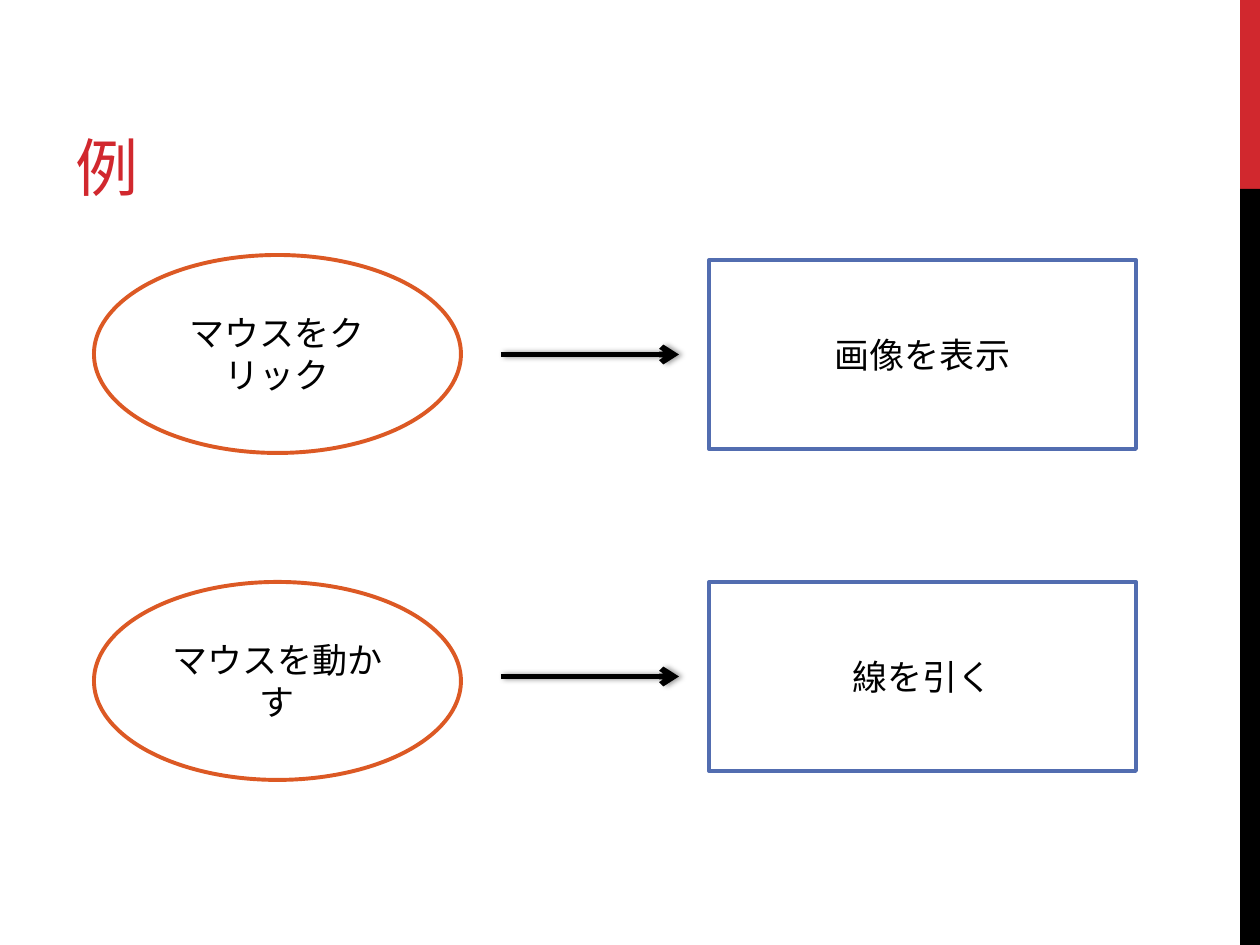
from lxml.etree import SubElement
from pptx import Presentation
from pptx.dml.color import RGBColor
from pptx.enum.shapes import MSO_CONNECTOR, MSO_SHAPE
from pptx.enum.text import MSO_ANCHOR, PP_ALIGN
from pptx.oxml.ns import qn
from pptx.util import Pt

EMU_PER_PX = 914400 / 126
RED, BLACK, WHITE = "D1282E", "000000", "FFFFFF"
ORANGE, BLUE = "DC5924", "526DB0"

# event, its ellipse's top, action, its rectangle's top
ROWS = [
    ("マウスをクリック", 255, "画像を表示", 260),
    ("マウスを動かす", 582, "線を引く", 582),
]
ACTION_HEIGHT = 189


def px(*lengths):
    return [round(length * EMU_PER_PX) for length in lengths]


def color(value):
    return RGBColor.from_string(value)


def write(shape, text, size=20, font="Arial", ink=BLACK,
          align=PP_ALIGN.CENTER, anchor=MSO_ANCHOR.MIDDLE):
    """Put one formatted line of text in the shape and return its run."""
    frame = shape.text_frame
    frame.word_wrap = True
    frame.vertical_anchor = anchor
    para = frame.paragraphs[0]
    para.alignment = align
    span = para.add_run()
    span.text = text
    span.font.size = Pt(size)
    span.font.name = font
    span.font.color.rgb = color(ink)
    return span


def add_block(page, kind, bounds, fill, line=None):
    shape = page.shapes.add_shape(kind, *px(*bounds))
    shape.shadow.inherit = False
    shape.fill.solid()
    shape.fill.fore_color.rgb = color(fill)
    if line:
        shape.line.color.rgb = color(line)
        shape.line.width = Pt(2.25)
    else:
        shape.line.fill.background()
    return shape


def add_arrow(page, left, right, y):
    """Draw a horizontal arrow with a soft shadow."""
    arrow = page.shapes.add_connector(MSO_CONNECTOR.STRAIGHT, *px(left, y, right, y))
    arrow.line.color.rgb = color(BLACK)
    arrow.line.width = Pt(3.25)
    SubElement(arrow.line._get_or_add_ln(), qn("a:tailEnd"), type="arrow")
    effects = SubElement(arrow._element.spPr, qn("a:effectLst"))
    shadow = SubElement(effects, qn("a:outerShdw"), blurRad=str(Pt(3.1)),
                        dist=str(Pt(1.8)), dir="0", rotWithShape="0")
    shade = SubElement(shadow, qn("a:srgbClr"), val=BLACK)
    SubElement(shade, qn("a:alpha"), val="40000")


def set_title(page, text):
    title = page.shapes.title
    title.left, title.top, title.width, title.height = px(63, 21, 798, 189)
    span = write(title, text, size=36, font="Montserrat", ink=RED,
                 align=PP_ALIGN.LEFT, anchor=MSO_ANCHOR.BOTTOM)
    span.font._element.set("spc", "-60")


def add_row(page, event, event_top, action, action_top):
    ellipse = add_block(page, MSO_SHAPE.OVAL, (94, event_top, 367, 198), WHITE, ORANGE)
    write(ellipse, event)
    add_arrow(page, 501, 679, action_top + ACTION_HEIGHT / 2)
    box = add_block(page, MSO_SHAPE.RECTANGLE,
                    (709, action_top, 427, ACTION_HEIGHT), WHITE, BLUE)
    write(box, action)


def main():
    deck = Presentation()
    deck.slide_width, deck.slide_height = px(1260, 945)
    page = deck.slides.add_slide(deck.slide_layouts[5])
    add_block(page, MSO_SHAPE.RECTANGLE, (1240, 0, 20, 189), RED)
    add_block(page, MSO_SHAPE.RECTANGLE, (1240, 189, 20, 756), BLACK)
    set_title(page, "例")
    for row in ROWS:
        add_row(page, *row)
    deck.save("out.pptx")


if __name__ == "__main__":
    main()
